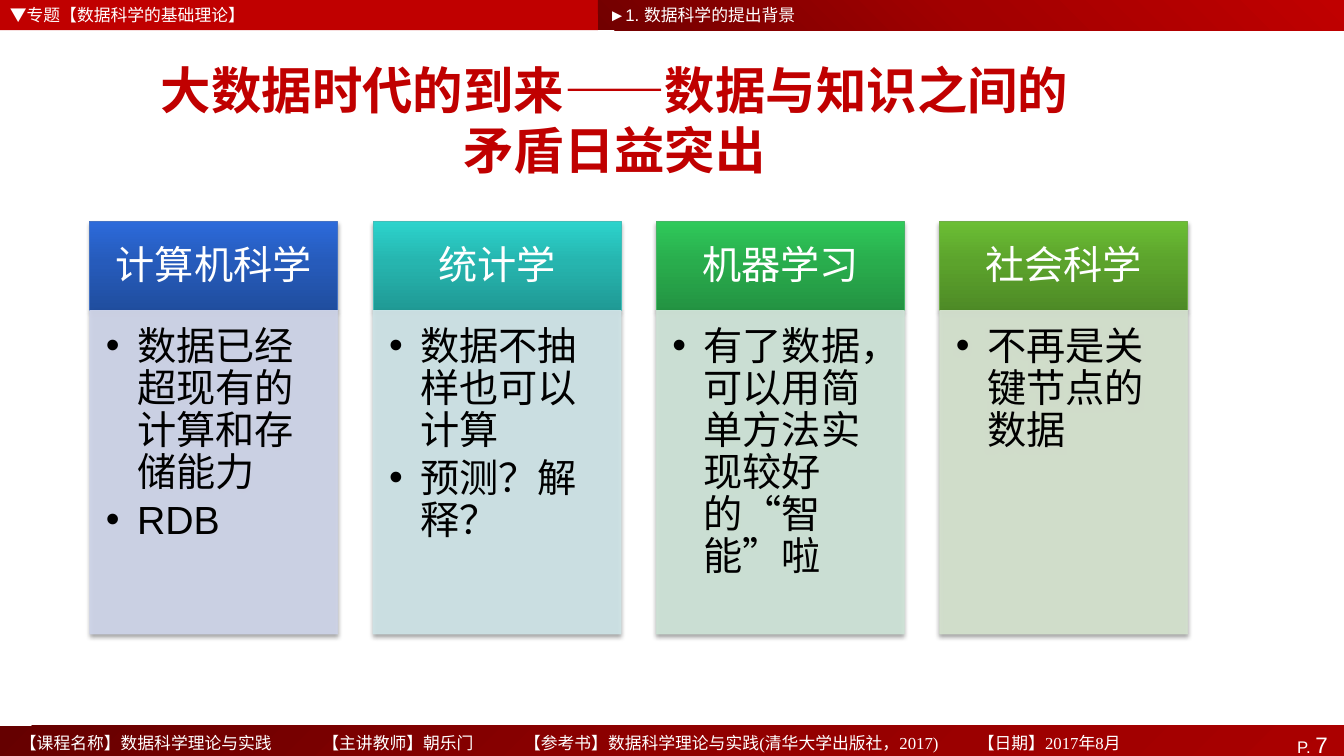
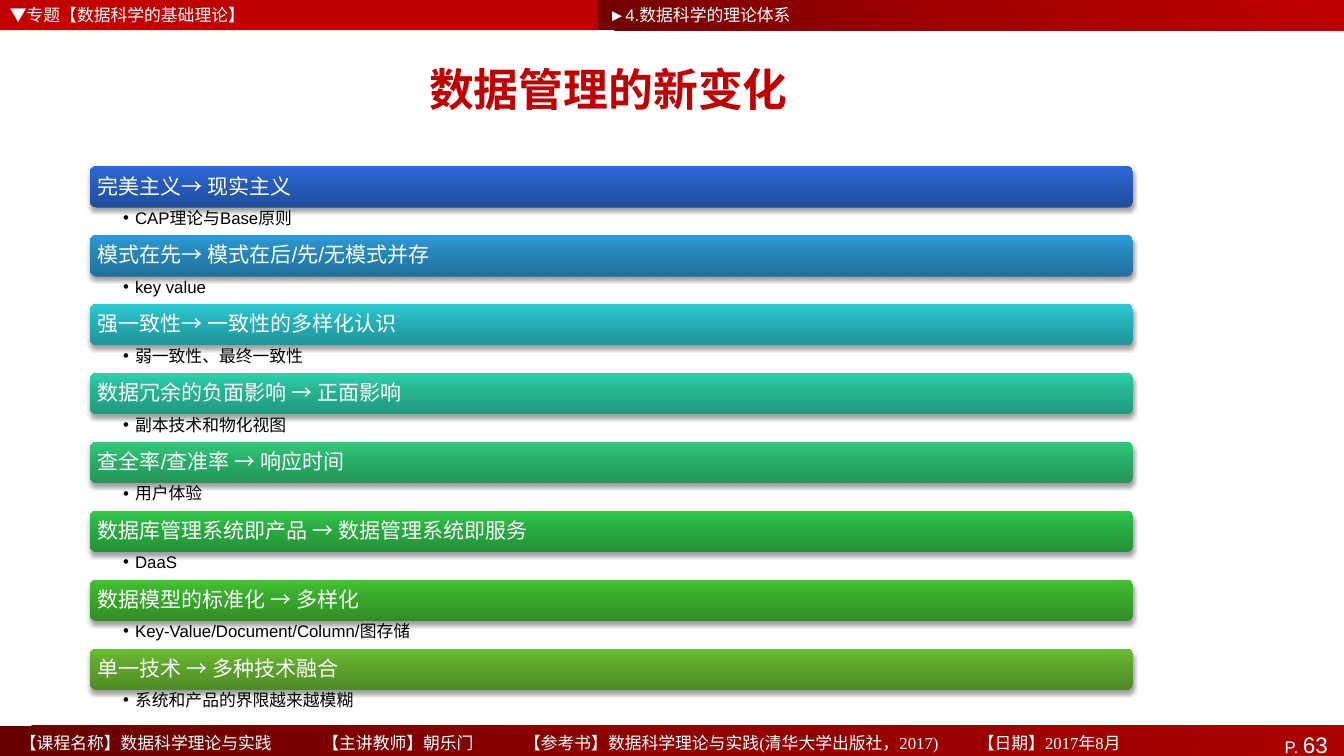
from lxml import etree
from pptx import Presentation
from pptx.dml.color import RGBColor
from pptx.enum.shapes import MSO_SHAPE
from pptx.enum.text import MSO_ANCHOR, PP_ALIGN
from pptx.oxml.ns import qn
from pptx.util import Inches, Pt

RECT, ROUND = MSO_SHAPE.RECTANGLE, MSO_SHAPE.ROUNDED_RECTANGLE
LEFT, CENTER, RIGHT = PP_ALIGN.LEFT, PP_ALIGN.CENTER, PP_ALIGN.RIGHT
TOP, MIDDLE = MSO_ANCHOR.TOP, MSO_ANCHOR.MIDDLE

COLORS = {"red": "C00000", "white": "FFFFFF", "black": "000000"}
# Three stops each, from dark to light
RAMPS = {
    "foot": "650000 900000 AB0000",
    "head": "720000 A20000 C00000",
    "blue": "204E9F 265BBB 2C6ADA",
    "sky": "20719D 2685B8 2C9BD7",
    "cyan": "20949B 26AEB6 2CCAD4",
    "teal": "209A95 26B5AF 2CD3CC",
    "mint": "20997C 26B392 2CD1AA",
    "jade": "229558 27AF68 2ECC79",
    "leaf": "239342 29AD4D 2FC95A",
    "green": "239237 29AB41 30C84B",
    "grass": "308E24 38A72B 42C332",
    "olive": "4E8B26 5CA32C 6BBE34",
}
SANS, SERIF, HAN = "Arial", "Times New Roman", "Noto Sans CJK SC"
WIDE, TIGHT = 1.19, 1.07  # line height as a share of text size
INSET = (0.1, 0.05, 0.1, 0.05)

TOPIC = "▼专题【数据科学的基础理论】"
FOOTER = ("【课程名称】数据科学理论与实践", "【主讲教师】朝乐门",
          "【参考书】数据科学理论与实践(清华大学出版社，2017)", "【日期】2017年8月")
TABS = (3.43, 5.64, 10.46)

# Heading, ramp, heading outline, card tint, bullets
CARDS = [
    ("计算机科学", "blue", "4472C4", "CFD5EA",
     ["数据已经超现有的计算和存储能力", "RDB"]),
    ("统计学", "teal", "43BEB9", "CFE5E8",
     ["数据不抽样也可以计算", "预测？解释？"]),
    ("机器学习", "leaf", "45B664", "CFE5D8",
     ["有了数据，可以用简单方法实现较好的“智能”啦"]),
    ("社会科学", "olive", "70AD47", "D5E3CF", ["不再是关键节点的数据"]),
]
ROWS = [
    ("完美主义→ 现实主义", "blue", "CAP理论与Base原则"),
    ("模式在先→ 模式在后/先/无模式并存", "sky", "key value"),
    ("强一致性→ 一致性的多样化认识", "cyan", "弱一致性、最终一致性"),
    ("数据冗余的负面影响 → 正面影响", "mint", "副本技术和物化视图"),
    ("查全率/查准率 → 响应时间", "jade", "用户体验"),
    ("数据库管理系统即产品 → 数据管理系统即服务", "green", "DaaS"),
    ("数据模型的标准化 → 多样化", "grass", "Key-Value/Document/Column/图存储"),
    ("单一技术 → 多种技术融合", "olive", "系统和产品的界限越来越模糊"),
]


def node(parent, tag, **attrs):
    item = etree.SubElement(parent, qn(tag))
    for key, value in attrs.items():
        item.set(key, str(value))
    return item


def shape(slide, box, kind=RECT):
    item = slide.shapes.add_shape(kind, *map(Inches, box))
    item.shadow.inherit = False
    item.line.fill.background()
    return item


def label(slide, box):
    return slide.shapes.add_textbox(*map(Inches, box))


def paint(item, color):
    item.fill.solid()
    item.fill.fore_color.rgb = RGBColor.from_string(color)


def outline(item, color):
    item.line.color.rgb = RGBColor.from_string(color)
    item.line.width = Pt(0.5)


def blend(item, ramp, angle):
    """Fill with a three-stop ramp; angle runs counter-clockwise."""
    item.fill.gradient()
    item.fill.gradient_angle = angle
    stops = item._element.spPr.find(".//" + qn("a:gsLst"))
    for old in list(stops):
        stops.remove(old)
    for pos, color in zip((0, 50 if angle == 45 or angle == 315 else 55, 100),
                          RAMPS[ramp].split()):
        node(node(stops, "a:gs", pos=pos * 1000), "a:srgbClr", val=color)


def shade(item):
    """Give the shape a soft shadow below it."""
    effects = item._element.spPr.find(qn("a:effectLst"))
    outer = node(effects, "a:outerShdw", blurRad=Pt(3.1), dist=Pt(2),
                 dir=5400000, rotWithShape=0)
    node(node(outer, "a:srgbClr", val=COLORS["black"]), "a:alpha", val=38000)


def style(run, size, color, font=SANS, bold=False):
    run.font.size = Pt(size)
    run.font.bold = bold
    run.font.color.rgb = RGBColor.from_string(COLORS[color])
    run.font.name = font
    node(run._r.get_or_add_rPr(), "a:ea", typeface=HAN)


def write(item, lines, size, color, align=LEFT, anchor=TOP, inset=INSET,
          lead=WIDE, font=SANS, bold=False, hang=0, after=0):
    """Fill a frame with paragraphs; hang is the indent of bulleted ones."""
    frame = item.text_frame
    frame.word_wrap = True
    frame.vertical_anchor = anchor
    (frame.margin_left, frame.margin_top,
     frame.margin_right, frame.margin_bottom) = map(Inches, inset)
    frame.text = "\n".join(lines)
    for par in frame.paragraphs:
        if hang:
            props = par._p.get_or_add_pPr()
            props.set("marL", str(Inches(hang)))
            props.set("indent", str(-Inches(hang)))
            node(props, "a:buFont", typeface=SANS)
            node(props, "a:buChar", char="•")
        par.alignment = align
        par.line_spacing = Pt(round(size * lead, 1))
        par.space_after = Pt(after)
        for run in par.runs:
            style(run, size, color, font, bold)


def header(slide, section):
    paint(shape(slide, (0, 0, 5.93, 0.3)), COLORS["red"])
    blend(shape(slide, (5.93, 0, 7.4, 0.3)), "head", 45)
    for left, text in ((0, TOPIC), (5.94, section)):
        write(label(slide, (left, 0, 4.83, 0.29)), [text], 12, "white")


def footer(slide, page):
    band = shape(slide, (0, 7.2, 13.33, 0.37))
    blend(band, "foot", 315)
    frame = band.text_frame
    frame.vertical_anchor = MIDDLE
    frame.margin_right = Inches(0.16)
    par = frame.paragraphs[0]
    par.alignment = RIGHT
    for text, size in (("P. ", 12), (str(page), 16)):
        run = par.add_run()
        run.text = text
        style(run, size, "white")

    info = label(slide, (0.1, 7.22, 12.6, 0.35))
    props = info.text_frame.paragraphs[0]._p.get_or_add_pPr()
    stops = node(props, "a:tabLst")
    for tab in TABS:
        node(stops, "a:tab", pos=Inches(tab), algn="l")
    write(info, ["\t".join(FOOTER)], 12, "white", font=SERIF)


def start(deck, section, page, title, box, size):
    """Add a slide with its bands and title."""
    slide = deck.slides.add_slide(deck.slide_layouts[6])
    header(slide, section)
    footer(slide, page)
    write(label(slide, box), [title], size, "red", CENTER, MIDDLE,
          font=HAN, bold=True)
    return slide


def cards(slide, box, gap=0.35, top=0.88):
    left, y, width, height = box
    wide = (width - gap * (len(CARDS) - 1)) / len(CARDS)
    for i, (name, ramp, edge, tint, points) in enumerate(CARDS):
        x = left + i * (wide + gap)
        head = shape(slide, (x, y, wide, top))
        blend(head, ramp, 90)
        outline(head, edge)
        shade(head)
        write(head, [name], 28, "white", CENTER, MIDDLE,
              (0.22, 0.12, 0.22, 0.12), TIGHT)

        body = shape(slide, (x, y + top, wide, height - top))
        paint(body, tint)
        outline(body, tint)
        for color in body._element.spPr.iter(qn("a:srgbClr")):
            node(color, "a:alpha", val=90000)
        shade(body)
        write(body, points, 28, "black", inset=(0.16, 0.16, 0.22, 0.24),
              lead=TIGHT, hang=0.31, after=4.2)


def bars(slide, box):
    left, top, width, height = box
    step = height / len(ROWS)
    tall = step * 0.6
    for i, (text, ramp, point) in enumerate(ROWS):
        y = top + i * step
        bar = shape(slide, (left, y, width, tall), ROUND)
        blend(bar, ramp, 90)
        shade(bar)
        write(bar, [text], 15, "white", LEFT, MIDDLE, (0.06,) * 4, TIGHT)
        write(label(slide, (left, y + tall, width, step - tall)), [point], 12,
              "black", inset=(0.33, 0.02, 0.12, 0.02), lead=TIGHT, hang=0.12)


def main():
    deck = Presentation()
    deck.slide_width, deck.slide_height = Inches(13.33), Inches(7.5)
    slide = start(deck, "►1. 数据科学的提出背景", 7,
                  "大数据时代的到来——数据与知识之间的\v矛盾日益突出",
                  (0.89, 0.74, 10.41, 0.9), 36)
    cards(slide, (0.89, 2.2, 10.89, 4.09))
    slide = start(deck, "►4.数据科学的理论体系", 63, "数据管理的新变化",
                  (0.44, 0.43, 11.19, 0.9), 32)
    bars(slide, (0.89, 1.65, 10.35, 5.47))
    deck.save("out.pptx")


if __name__ == "__main__":
    main()
